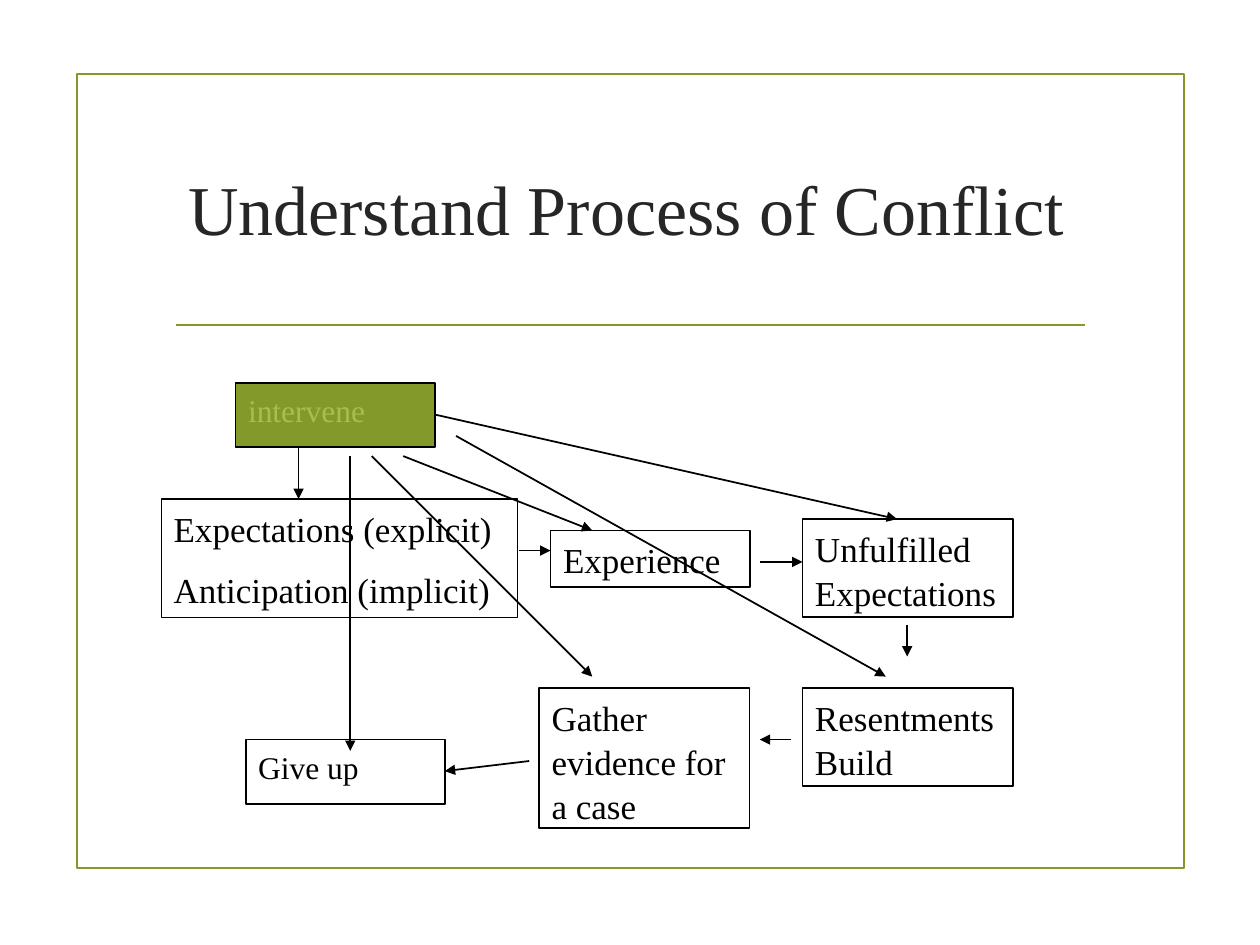
from lxml import etree
from pptx import Presentation
from pptx.dml import color
from pptx.enum import shapes, text
from pptx.oxml import ns
from pptx.util import Inches, Pt

HUES = {"ink": "000000", "title": "262626", "olive": "83992A", "lime": "A8BF4D"}
FONT = "Times New Roman"


def rgb(hue):
    """Return the colour of a named hue."""
    return color.RGBColor.from_string(HUES[hue])


def write(frame, words, size=20, hue="ink", align="LEFT", anchor="TOP", lead=1.05, gap=10):
    """Fill a text frame, one paragraph per line of words."""
    frame.word_wrap = True
    frame.vertical_anchor = text.MSO_ANCHOR[anchor]
    for i, line in enumerate(words.split("\n")):
        para = frame.add_paragraph() if i else frame.paragraphs[0]
        para.alignment = text.PP_ALIGN[align]
        para.line_spacing = lead
        para.space_before = Pt(gap if i else 0)
        run = para.add_run()
        run.text = line
        run.font.name, run.font.size = FONT, Pt(size)
        run.font.color.rgb = rgb(hue)


class Deck:
    """Holds the style and the current slide."""

    def __init__(self, wide, high):
        """Start a deck with one blank slide."""
        self.show = Presentation()
        self.show.slide_width, self.show.slide_height = Inches(wide), Inches(high)
        self.slide = self.show.slides.add_slide(self.show.slide_layouts[6])

    def title(self, words, *at):
        """Add the centred title."""
        box = self.slide.shapes.add_textbox(*map(Inches, at))
        write(box.text_frame, words, size=40, hue="title", align="CENTER",
              anchor="MIDDLE", lead=1)

    def box(self, words, *at, fill=None, line="ink", width=1, **style):
        """Add an outlined box, with text if there is any."""
        box = self.slide.shapes.add_shape(shapes.MSO_SHAPE.RECTANGLE, *map(Inches, at))
        box.shadow.inherit = False
        if fill:
            box.fill.solid()
            box.fill.fore_color.rgb = rgb(fill)
        else:
            box.fill.background()
        box.line.color.rgb, box.line.width = rgb(line), Pt(width)
        if words:
            write(box.text_frame, words, **style)

    def line(self, *ends, hue="ink", width=1, head=True):
        """Add a straight line, with an arrowhead at its end if asked."""
        link = self.slide.shapes.add_connector(shapes.MSO_CONNECTOR.STRAIGHT,
                                               *map(Inches, ends))
        link.line.color.rgb, link.line.width = rgb(hue), Pt(width)
        if head:
            etree.SubElement(link.line._get_or_add_ln(), ns.qn("a:tailEnd"), type="triangle")
        etree.SubElement(link._element.spPr, ns.qn("a:effectLst"))


def main():
    """Build the slide and save it."""
    deck = Deck(10, 7.5)
    deck.box("", 0.61, 0.59, 8.79, 6.3, line="olive", width=1.25)
    deck.line(1.4, 2.58, 8.61, 2.58, hue="olive", width=1.25, head=False)
    deck.title("Understand Process of Conflict", 1.25, 0.93, 7.44, 1.43)

    deck.box("Expectations (explicit)\nAnticipation (implicit)",
             1.28, 3.96, 2.83, 0.94, width=0.75)
    for words, *at in (
        ("Experience", 4.37, 4.21, 1.58, 0.45),
        ("Unfulfilled Expectations", 6.37, 4.12, 1.67, 0.78),
        ("Resentments Build", 6.37, 5.46, 1.67, 0.78),
        ("Gather evidence for a case", 4.28, 5.46, 1.67, 1.11),
    ):
        deck.box(words, *at)
    deck.box("Give up", 1.95, 5.87, 1.58, 0.51, size=18)
    deck.box("intervene", 1.87, 3.04, 1.58, 0.51, fill="olive", size=18, hue="lime")

    steps = (
        (4.12, 4.37, 4.37, 4.37),
        (6.03, 4.46, 6.37, 4.46),
        (7.2, 4.96, 7.2, 5.21),
        (6.28, 5.87, 6.03, 5.87),
        (4.2, 6.04, 3.53, 6.12),
    )
    breaks = (
        (2.37, 3.54, 2.37, 3.96),
        (3.2, 3.62, 4.7, 4.21),
        (3.45, 3.29, 7.12, 4.12),
        (2.78, 3.62, 2.78, 5.96),
        (2.95, 3.62, 4.7, 5.37),
        (3.62, 3.46, 7.03, 5.37),
    )
    for ends in steps + breaks:
        deck.line(*ends)
    deck.show.save("out.pptx")


if __name__ == "__main__":
    main()
